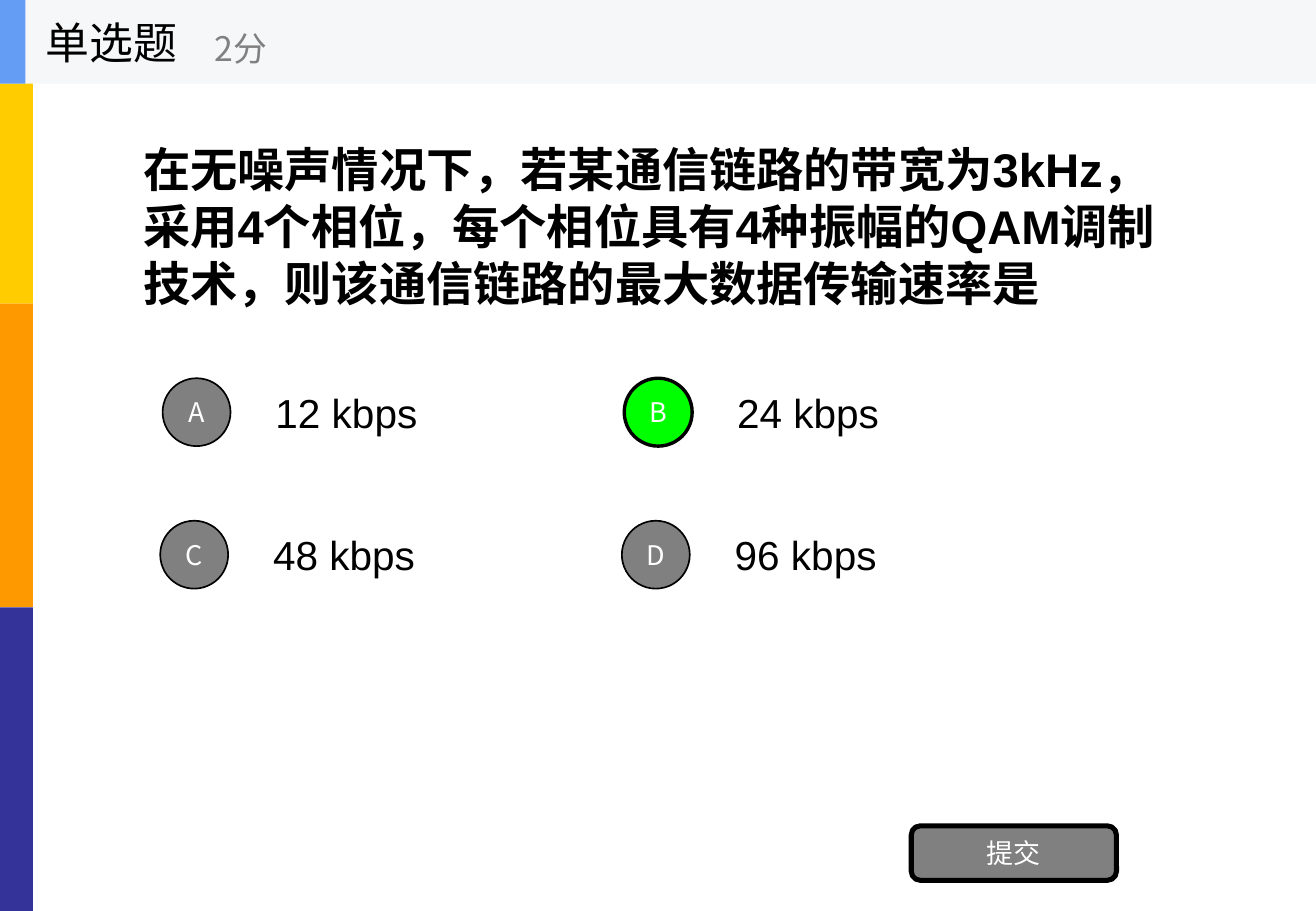
from pptx import Presentation
from pptx import util as u
from pptx.dml.color import RGBColor
from pptx.enum import shapes, text
from pptx.oxml import parse_xml
from pptx.oxml.ns import nsdecls

COLORS = {
    "yellow": "FFCC00", "orange": "FF9900", "indigo": "333399",
    "grey": "808080", "green": "00FF00", "black": "000000",
    "white": "FFFFFF", "band": "F6F7F8", "blue": "639EF4",
}
LATIN, CJK = "Arial", "Noto Sans CJK SC"
SHAPE = shapes.MSO_SHAPE


class QuizSlide:
    """Hold the style and the current slide, and draw its elements."""

    def __init__(self, prs):
        self.slide = prs.slides.add_slide(prs.slide_layouts[5])

    def color(self, name):
        return RGBColor.from_string(COLORS[name])

    def set_text(self, sp, words, size, font, color, align="LEFT", bold=False, spacing=None):
        tf = sp.text_frame
        frame = {"word_wrap": True, "auto_size": text.MSO_AUTO_SIZE.NONE,
                 "vertical_anchor": text.MSO_ANCHOR.MIDDLE}
        for key, value in frame.items():
            setattr(tf, key, value)
        p = tf.paragraphs[0]
        p.alignment = getattr(text.PP_ALIGN, align)
        p.line_spacing = spacing
        r = p.add_run()
        r.text = words
        for key, value in {"size": u.Pt(size), "name": font, "bold": bold}.items():
            setattr(r.font, key, value)
        r.font.color.rgb = self.color(color)
        ea = parse_xml(f'<a:ea {nsdecls("a")} typeface="{font}"/>')
        r.font._element.find(".//{*}latin").addnext(ea)

    def title(self, box, words, **style):
        sp = self.slide.shapes.title
        for key, value in zip(("left", "top", "width", "height"), box):
            setattr(sp, key, u.Cm(value))
        self.set_text(sp, words, **style)

    def label(self, box, words, **style):
        sp = self.slide.shapes.add_textbox(*map(u.Cm, box))
        self.set_text(sp, words, **style)

    def shape(self, kind, box, fill, line=0):
        sp = self.slide.shapes.add_shape(kind, *map(u.Cm, box))
        sp.shadow.inherit = False
        sp.fill.solid()
        sp.fill.fore_color.rgb = self.color(fill)
        if line:
            sp.line.color.rgb = self.color("black")
            sp.line.width = u.Pt(line)
        else:
            sp.line.fill.background()
        return sp

    def button(self, kind, box, words, fill, line):
        sp = self.shape(kind, box, fill, line)
        for side in ("left", "right", "top", "bottom"):
            setattr(sp.text_frame, f"margin_{side}", 0)
        self.set_text(sp, words, 16, CJK, "white", align="CENTER")


prs = Presentation()
prs.slide_width, prs.slide_height = u.Cm(27.51), u.Cm(19.05)
s = QuizSlide(prs)

bar_height = 19.05 / 3
for i, fill in enumerate(("yellow", "orange", "indigo")):
    s.shape(SHAPE.RECTANGLE, (0, i * bar_height, 0.69, bar_height), fill)

s.title((2.74, 1.75, 22.02, 5.94),
        "在无噪声情况下，若某通信链路的带宽为3kHz，采用4个相位，每个相位具有4种振幅的"
        "QAM调制技术，则该通信链路的最大数据传输速率是",
        size=28, font=LATIN, color="black", bold=True, spacing=u.Pt(33.5))

answers = {"A": "12 kbps", "B": "24 kbps", "C": "48 kbps", "D": "96 kbps"}
correct = "B"
for i, (letter, answer) in enumerate(answers.items()):
    row, col = divmod(i, 2)
    x, y = 3.4 + 9.65 * col - 0.05 * row, 7.91 + 2.98 * row
    s.label((x + 2.11, y - 0.18, 7.75, 1.78), answer, size=24, font=LATIN, color="black")
    fill, line = ("green", 2) if letter == correct else ("grey", 1)
    s.button(SHAPE.OVAL, (x, y, 1.42, 1.42), letter, fill, line)

s.button(SHAPE.ROUNDED_RECTANGLE, (19.05, 17.27, 4.29, 1.14), "提交", "grey", 3)

s.shape(SHAPE.RECTANGLE, (0, 0, 27.51, 1.75), "band")
s.shape(SHAPE.RECTANGLE, (0, 0, 0.53, 1.75), "blue")
s.label((0.71, 0, 5.28, 1.75), "单选题", size=26, font=CJK, color="black")
s.label((4.24, 0.3, 6.35, 1.42), "2分", size=20, font=CJK, color="grey")

prs.save("out.pptx")
